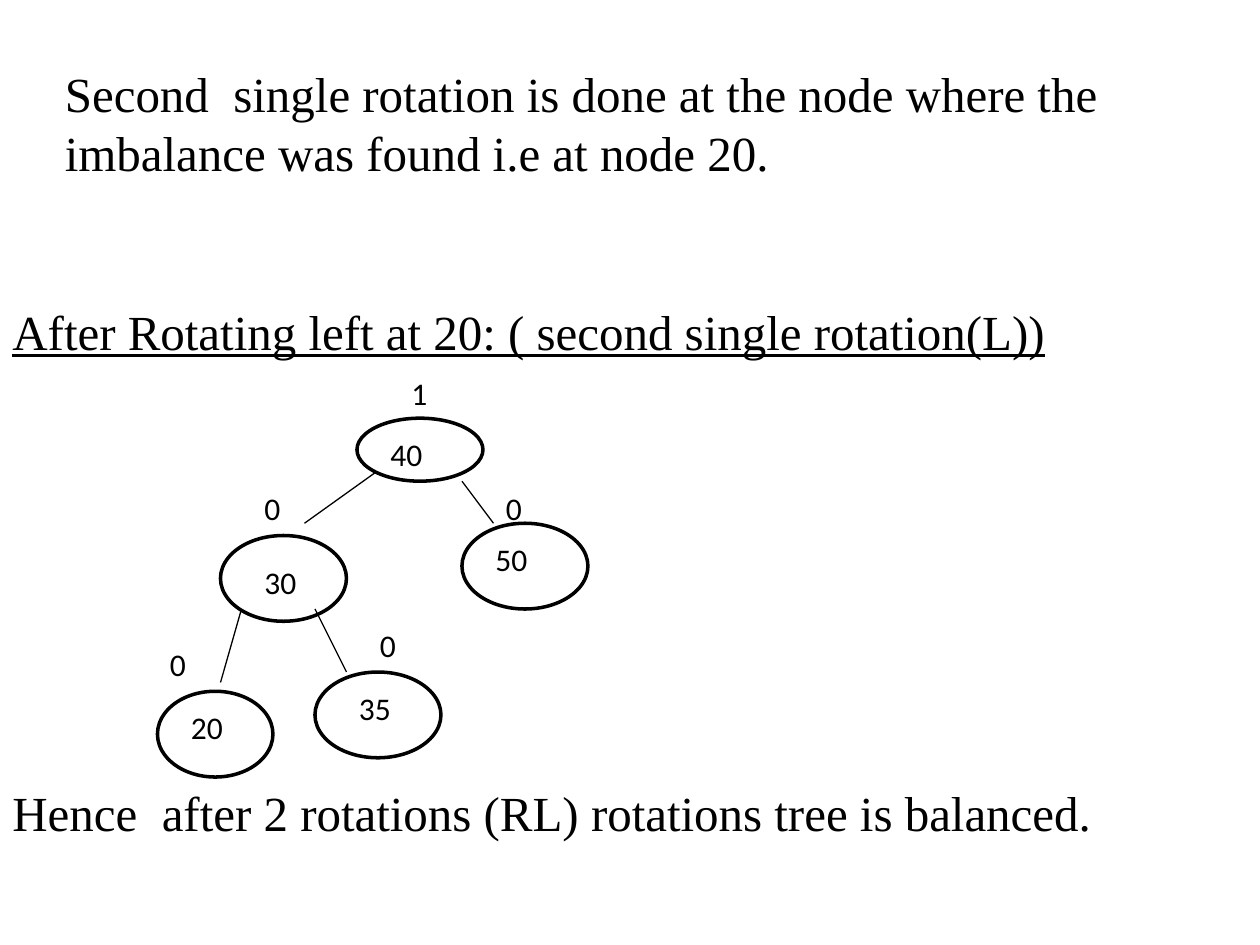
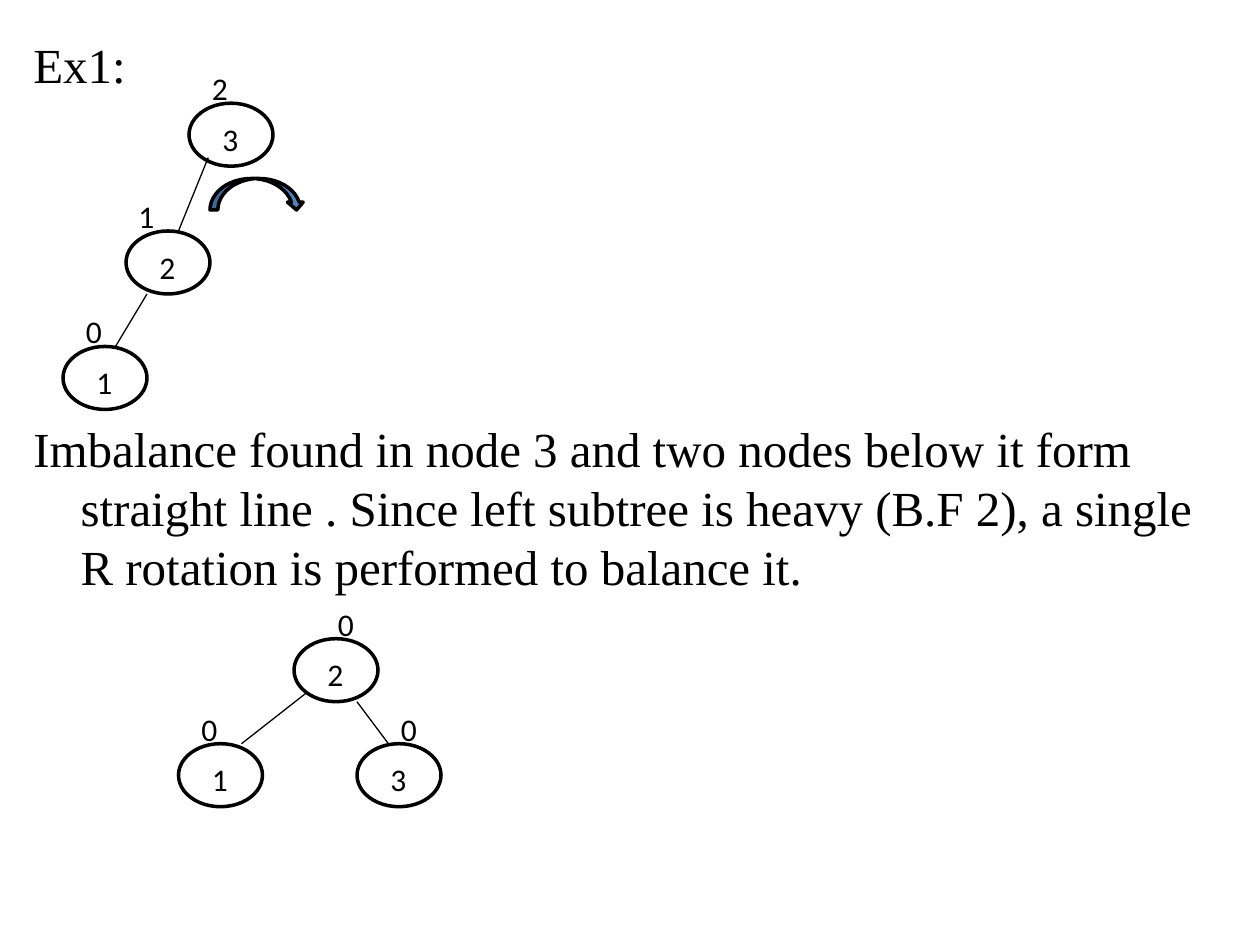
from dataclasses import dataclass

from lxml import etree
from pptx import Presentation
from pptx.dml.color import RGBColor
from pptx.enum.shapes import MSO_CONNECTOR, MSO_SHAPE
from pptx.oxml.ns import qn
from pptx.util import Pt

OVAL = MSO_SHAPE.OVAL
CURVED_ARROW = MSO_SHAPE.CURVED_DOWN_ARROW
STRAIGHT = MSO_CONNECTOR.STRAIGHT


@dataclass(frozen=True)
class Theme:
    ink: RGBColor = RGBColor(0x00, 0x00, 0x00)
    node_fill: RGBColor = RGBColor(0xFF, 0xFF, 0xFF)
    arrow_fill: RGBColor = RGBColor(0x4F, 0x81, 0xBD)
    prose_font: str = "Times New Roman"
    prose_size: int = 28
    label_font: str = "Calibri"
    label_size: int = 18
    outline: float = 2
    edge: float = 0.75


THEME = Theme()
SLIDE_SIZE = (720, 540)
HANGING = 27
LABEL_HEIGHT = 29

# statements: text, left, top, width, hanging indent, underline
# nodes: value, balance factor, (left, top), (width, height),
#        value offset and balance offset from the node's corner
# edges: start x, start y, end x, end y
SMALL = (48, 36)
LARGE = (72, 49)
SLIDES = [
    {
        "statements": [
            ("Second  single rotation is done at the node where the imbalance "
             "was found i.e at node 20.", 30, 33, 672, 0, False),
            ("After Rotating left at 20: ( second single rotation(L))",
             0, 168.5, 702, HANGING, True),
            ("Hence  after 2 rotations (RL) rotations tree is balanced.",
             0, 443.5, 702, HANGING, False),
        ],
        "nodes": [
            ("40", "1", (204, 239), (72, 36), (12, 6), (24, -29)),
            ("30", "0", (126, 306), LARGE, (18, 12), (18, -30)),
            ("50", "0", (264, 299), LARGE, (12, 6), (18, -23)),
            ("20", "0", (90, 395), (66, 49), (12, 6), (0, -30)),
            ("35", "0", (180, 384), LARGE, (18, 6), (30, -30)),
        ],
        "edges": [
            (174, 299, 214.5, 270),
            (264, 275, 282, 299),
            (126, 390, 138, 348),
            (198, 384, 180, 348),
        ],
        "rotations": [],
    },
    {
        "statements": [
            ("Ex1:", 12, 16, 690, HANGING, False),
            ("Imbalance found in node 3 and two nodes below it form straight "
             "line . Since left subtree is heavy (B.F 2), a single R rotation "
             "is performed to balance it.", 12, 235.5, 690, HANGING, False),
        ],
        "nodes": [
            ("3", "2", (108, 59), SMALL, (12, 6), (6, -23)),
            ("2", "1", (72, 132), SMALL, (12, 6), (0, -23)),
            ("1", "0", (36, 198), SMALL, (12, 6), (6, -23)),
            ("2", "0", (168, 365), SMALL, (12, 6), (18, -23)),
            ("1", "0", (102, 425), SMALL, (12, 6), (6, -23)),
            ("3", "0", (204, 425), SMALL, (12, 6), (18, -23)),
        ],
        "edges": [
            (119, 90, 102, 132),
            (84, 168, 66, 198),
            (138, 425, 175, 396),
            (204, 401, 222, 425),
        ],
        "rotations": [(120, 102, 54, 18)],
    },
]


def points(*lengths):
    return [Pt(length) for length in lengths]


def add_text(slide, text, box, font_name, size, hanging=0, underline=False):
    frame = slide.shapes.add_textbox(*points(*box)).text_frame
    frame.word_wrap = True
    paragraph = frame.paragraphs[0]
    if hanging:
        properties = paragraph._p.get_or_add_pPr()
        properties.set("marL", str(Pt(hanging)))
        properties.set("indent", str(-Pt(hanging)))
    run = paragraph.add_run()
    run.text = text
    font = run.font
    font.name, font.size = font_name, Pt(size)
    font.color.rgb = THEME.ink
    if underline:
        font.underline = True


def add_statement(slide, text, left, top, width, hanging, underline):
    add_text(slide, text, (left, top, width, 40), THEME.prose_font,
             THEME.prose_size, hanging, underline)


def add_outlined(slide, preset, box, fill):
    shape = slide.shapes.add_shape(preset, *points(*box))
    shape.shadow.inherit = False
    shape.fill.solid()
    shape.fill.fore_color.rgb = fill
    shape.line.color.rgb = THEME.ink
    shape.line.width = Pt(THEME.outline)


def add_node(slide, value, balance, corner, size, value_offset, balance_offset):
    """Draw a tree node with its value inside and its balance factor above."""
    add_outlined(slide, OVAL, (*corner, *size), THEME.node_fill)
    for label, offset in ((value, value_offset), (balance, balance_offset)):
        left, top = (c + o for c, o in zip(corner, offset))
        width = 18 + 12 * len(label)
        add_text(slide, label, (left, top, width, LABEL_HEIGHT),
                 THEME.label_font, THEME.label_size)


def add_edge(slide, *ends):
    edge = slide.shapes.add_connector(STRAIGHT, *points(*ends))
    edge.line.color.rgb = THEME.ink
    edge.line.width = Pt(THEME.edge)
    etree.SubElement(edge._element.spPr, qn("a:effectLst"))


def main():
    deck = Presentation()
    deck.slide_width, deck.slide_height = points(*SLIDE_SIZE)
    blank = deck.slide_layouts.get_by_name("Blank")
    for content in SLIDES:
        slide = deck.slides.add_slide(blank)
        for statement in content["statements"]:
            add_statement(slide, *statement)
        for node in content["nodes"]:
            add_node(slide, *node)
        for edge in content["edges"]:
            add_edge(slide, *edge)
        for rotation in content["rotations"]:
            add_outlined(slide, CURVED_ARROW, rotation, THEME.arrow_fill)
    deck.save("out.pptx")


if __name__ == "__main__":
    main()
